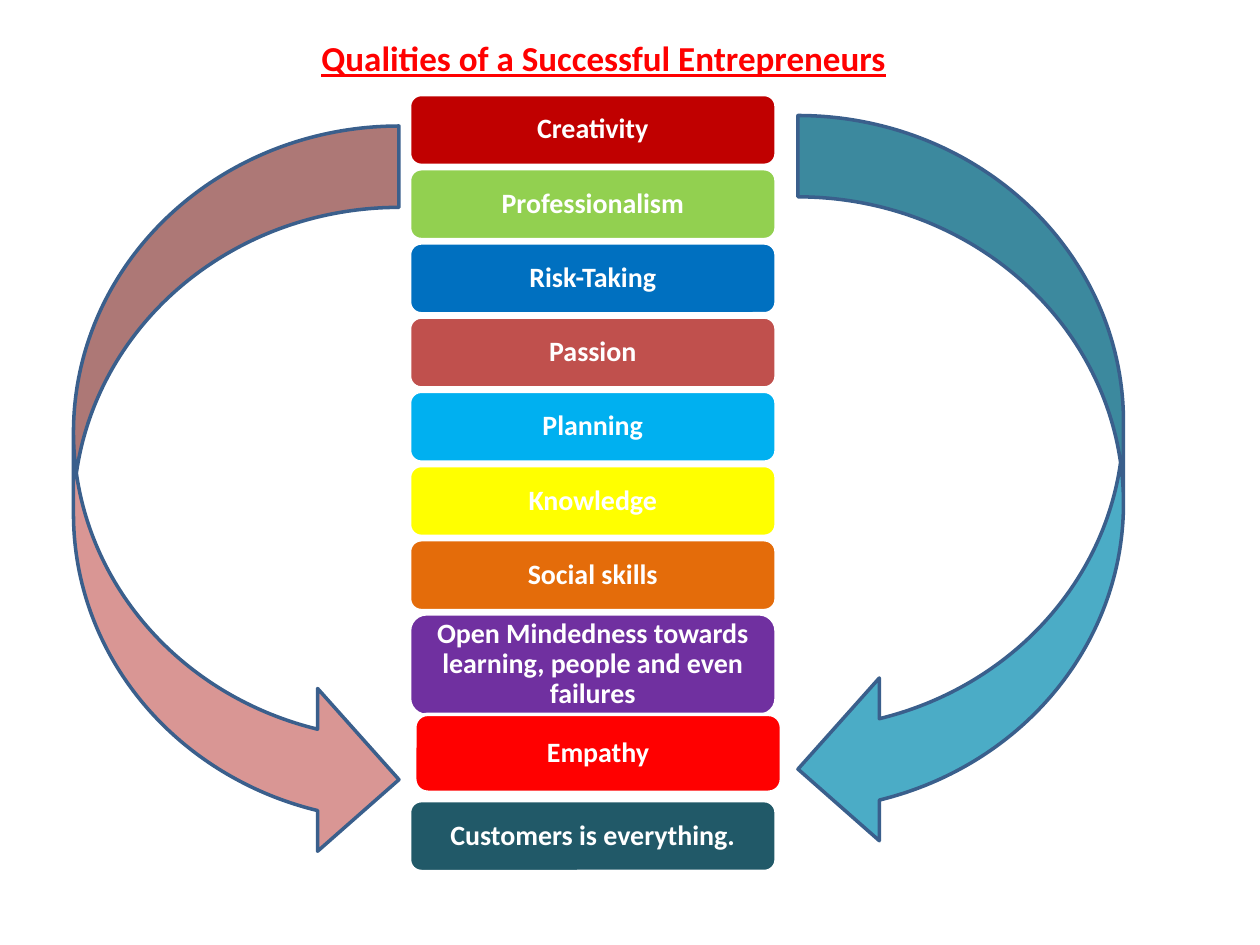
import pptx
import pptx.util
import pptx.dml.color
import pptx.enum.shapes
import pptx.enum.text

Pt = pptx.util.Pt
RGBColor = pptx.dml.color.RGBColor
MSO_SHAPE = pptx.enum.shapes.MSO_SHAPE
MSO_ANCHOR = pptx.enum.text.MSO_ANCHOR
PP_ALIGN = pptx.enum.text.PP_ALIGN

WHITE = RGBColor(0xFF, 0xFF, 0xFF)
RED = RGBColor(0xFF, 0x00, 0x00)
DARK_RED = RGBColor(0xC0, 0x00, 0x00)
GREEN = RGBColor(0x92, 0xD0, 0x50)
BLUE = RGBColor(0x00, 0x70, 0xC0)
BRICK = RGBColor(0xC0, 0x50, 0x4D)
SKY = RGBColor(0x00, 0xB0, 0xF0)
YELLOW = RGBColor(0xFF, 0xFF, 0x00)
ORANGE = RGBColor(0xE4, 0x6C, 0x0A)
PURPLE = RGBColor(0x70, 0x30, 0xA0)
DARK_TEAL = RGBColor(0x21, 0x59, 0x68)
TEAL = RGBColor(0x4B, 0xAC, 0xC6)
PINK = RGBColor(0xD9, 0x96, 0x94)
ARROW_LINE = RGBColor(0x3A, 0x5F, 0x8C)


def add_filled_shape(kind, left, top, width, height, fill, line):
    shape = slide.shapes.add_shape(kind, Pt(left), Pt(top), Pt(width), Pt(height))
    shape.shadow.inherit = False
    shape.fill.solid()
    shape.fill.fore_color.rgb = fill
    shape.line.color.rgb = line
    shape.line.width = Pt(2)
    return shape


def format_text(text_frame, size, color):
    text_frame.word_wrap = True
    text_frame.vertical_anchor = MSO_ANCHOR.MIDDLE
    paragraph = text_frame.paragraphs[0]
    paragraph.alignment = PP_ALIGN.CENTER
    font = paragraph.runs[0].font
    font.name = "Calibri"
    font.size = Pt(size)
    font.bold = True
    font.color.rgb = color
    return paragraph


presentation = pptx.Presentation()
presentation.slide_width = Pt(720)
presentation.slide_height = Pt(540)
slide = presentation.slides.add_slide(presentation.slide_layouts[5])

# Title
title = slide.shapes.title
title.left, title.top, title.width, title.height = Pt(84), Pt(6), Pt(522), Pt(54)
title.text_frame.text = "Qualities of a Successful Entrepreneurs"
format_text(title.text_frame, 20, RED).runs[0].font.underline = True

# Stack of qualities: text, fill, left, top, height
LEFT, TOP, STEP, HEIGHT = 234, 54, 42.4, 40.5
regular = [
    ("Creativity", DARK_RED),
    ("Professionalism", GREEN),
    ("Risk-Taking", BLUE),
    ("Passion", BRICK),
    ("Planning", SKY),
    ("Knowledge", YELLOW),
    ("Social skills", ORANGE),
]
qualities = [
    (text, fill, LEFT, TOP + index * STEP, HEIGHT)
    for index, (text, fill) in enumerate(regular)
]
qualities += [
    ("Open Mindedness towards learning, people and even failures",
     PURPLE, LEFT, TOP + len(regular) * STEP, 58),
    ("Empathy", RED, 237, 408.25, 44.5),
    ("Customers is everything.", DARK_TEAL, LEFT, 457.5, HEIGHT),
]
for text, fill, left, top, height in qualities:
    box = add_filled_shape(
        MSO_SHAPE.ROUNDED_RECTANGLE, left, top, 209.5, height, fill, WHITE)
    text_frame = box.text_frame
    text_frame.margin_left = text_frame.margin_right = Pt(4.8)
    text_frame.margin_top = text_frame.margin_bottom = Pt(2.4)
    text_frame.text = text
    format_text(text_frame, 16, WHITE).line_spacing = 0.9

# Curved arrows on both sides
for kind, left, top, fill in [
    (MSO_SHAPE.CURVED_LEFT_ARROW, 456, 66, TEAL),
    (MSO_SHAPE.CURVED_RIGHT_ARROW, 42, 72, PINK),
]:
    add_filled_shape(kind, left, top, 186, 420, fill, ARROW_LINE)

presentation.save("out.pptx")
